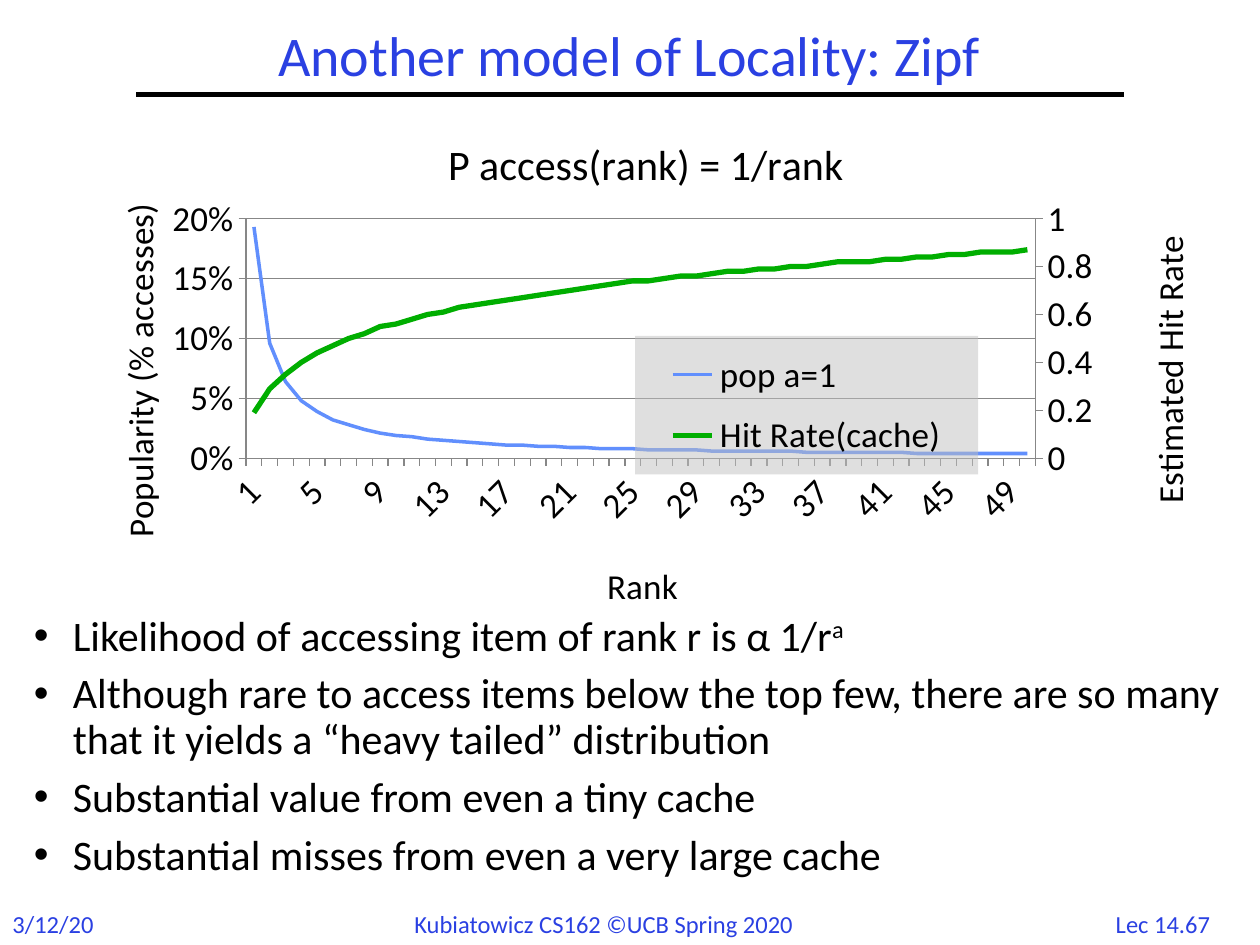
"""Build a slide on Zipf locality with a two-axis line chart and bullet points."""
from copy import deepcopy
from itertools import accumulate
from typing import NamedTuple

from lxml.etree import SubElement
from pptx import Presentation
from pptx.chart.data import CategoryChartData
from pptx.dml.color import RGBColor
from pptx.enum.chart import XL_CHART_TYPE as ChartType, XL_LEGEND_POSITION as LegendPosition, XL_TICK_MARK as TickMark
from pptx.enum.shapes import MSO_CONNECTOR as Connector
from pptx.enum.text import MSO_ANCHOR as Anchor, PP_ALIGN as Align
from pptx.oxml import parse_xml
from pptx.oxml.ns import nsdecls, qn
from pptx.util import Inches, Pt

BLACK = RGBColor(0x00, 0x00, 0x00)
BLUE = RGBColor(0x2A, 0x40, 0xE2)
POPULARITY_BLUE = RGBColor(0x61, 0x8F, 0xFD)
HIT_GREEN = RGBColor(0x00, 0xAE, 0x00)
GRID_GRAY = RGBColor(0x87, 0x87, 0x87)
FONT = "Calibri"
WIDTH, HEIGHT = Inches(10), Inches(7.5)
RANKS = range(1, 51)
TOP_SHARE = 0.1928


class Box(NamedTuple):
    """Hold a frame in percent of the slide's width and height."""
    left: float
    top: float
    width: float
    height: float

    def lengths(self) -> tuple[int, int, int, int]:
        """Return the frame as slide lengths."""
        return (int(WIDTH * self.left / 100), int(HEIGHT * self.top / 100),
                int(WIDTH * self.width / 100), int(HEIGHT * self.height / 100))


class Label(NamedTuple):
    """Describe a one-line text."""
    text: str
    box: Box
    size: int = 14
    align: Align = Align.LEFT
    wrap: bool = False
    anchor: Anchor = Anchor.TOP
    spacing: float = 1.0


LABELS = [
    Label("Lec 14.67", Box(86.9, 95.5, 10.8, 4.4), align=Align.CENTER),
    Label("3/12/20", Box(0, 95.5, 8.5, 4.5)),
    Label("Kubiatowicz CS162 ©UCB Spring 2020", Box(31.9, 95.5, 36.3, 4.5)),
    Label("Another model of Locality: Zipf", Box(10.8, 2.3, 78.3, 7.7), 32, Align.CENTER, True, Anchor.MIDDLE, 0.9),
]
BULLETS = [
    ("Likelihood of accessing item of rank r is α 1/r", "a"),
    ("Although rare to access items below the top few, there are so many "
     "that it yields a “heavy tailed” distribution", ""),
    ("Substantial value from even a tiny cache", ""),
    ("Substantial misses from even a very large cache", ""),
]


def style_font(font, size: int, color: RGBColor) -> None:
    """Set the common font with a size and colour."""
    font.name, font.size, font.bold = FONT, Pt(size), False
    font.color.rgb = color


def add_label(slide, label: Label) -> None:
    """Add a one-line text box."""
    frame = slide.shapes.add_textbox(*label.box.lengths()).text_frame
    frame.word_wrap, frame.vertical_anchor = label.wrap, label.anchor
    paragraph = frame.paragraphs[0]
    paragraph.text, paragraph.alignment = label.text, label.align
    paragraph.line_spacing = label.spacing
    style_font(paragraph.font, label.size, BLUE)


def add_bullets(slide, box: Box) -> None:
    """Add the bulleted body text."""
    frame = slide.shapes.add_textbox(*box.lengths()).text_frame
    frame.word_wrap = True
    for index, (text, superscript) in enumerate(BULLETS):
        paragraph = frame.add_paragraph() if index else frame.paragraphs[0]
        paragraph.line_spacing = 0.9
        paragraph.space_before = Pt(7.2 if index else 0)
        properties = paragraph._p.get_or_add_pPr()
        properties.set("marL", str(Inches(0.31)))
        properties.set("indent", str(-Inches(0.31)))
        SubElement(properties, qn("a:buFont")).set("typeface", "Arial")
        SubElement(properties, qn("a:buChar")).set("char", "•")
        paragraph.add_run().text = text
        if superscript:
            run = paragraph.add_run()
            run.text = superscript
            run._r.get_or_add_rPr().set("baseline", "30000")
        style_font(paragraph.font, 24, BLACK)


def add_rule(slide, left: float, right: float, top: float) -> None:
    """Add the heavy line under the title."""
    x_start, y, x_end, _ = Box(left, top, right, 0).lengths()
    line = slide.shapes.add_connector(Connector.STRAIGHT, x_start, y, x_end, y)
    line.line.color.rgb, line.line.width = BLACK, Pt(3)
    SubElement(line._element.spPr, qn("a:effectLst"))


def place(parent, index: int, x: float, y: float, size: tuple[float, ...] = (), inner: bool = False) -> None:
    """Give a chart part a manual layout in shares of the chart."""
    for old in parent.findall(qn("c:layout")):
        parent.remove(old)
    target = '<c:layoutTarget val="inner"/>' if inner else ""
    modes = '<c:xMode val="edge"/><c:yMode val="edge"/>'
    values = "".join(f'<c:{tag} val="{value}"/>' for tag, value in zip("xywh", (x, y, *size)))
    parent.insert(index, parse_xml(
        f'<c:layout {nsdecls("c")}><c:manualLayout>{target}{modes}{values}</c:manualLayout></c:layout>'))


def set_title(owner, text: str, size: int, x: float, y: float, upright: bool = True) -> None:
    """Write and place the title of a chart or an axis."""
    title = owner.chart_title if hasattr(owner, "chart_title") else owner.axis_title
    title.text_frame.text = text
    style_font(title.text_frame.paragraphs[0].font, size, BLACK)
    if not upright:
        title.text_frame._txBody.bodyPr.set("rot", "-5400000")
    place(title._element, 1, x, y)


def style_axis(axis) -> None:
    """Set the font, ticks and line of an axis."""
    style_font(axis.tick_labels.font, 20, BLACK)
    axis.major_tick_mark, axis.minor_tick_mark = TickMark.OUTSIDE, TickMark.NONE
    axis.format.line.color.rgb = GRID_GRAY


def add_right_axis(chart) -> None:
    """Move the second series to its own value axis on the right."""
    plot_area = chart._chartSpace.chart.plotArea
    left_plot = plot_area.find(qn("c:lineChart"))
    right_plot = deepcopy(left_plot)
    left_plot.remove(left_plot.findall(qn("c:ser"))[1])
    right_plot.remove(right_plot.find(qn("c:ser")))
    left_plot.addnext(right_plot)
    category, value = plot_area.find(qn("c:catAx")), plot_area.find(qn("c:valAx"))
    right_category, right_value = deepcopy(category), deepcopy(value)
    value.addnext(right_category)
    right_category.addnext(right_value)
    for axis, own, other in ((right_category, "5001", "5002"), (right_value, "5002", "5001")):
        axis.find(qn("c:axId")).set("val", own)
        axis.find(qn("c:crossAx")).set("val", other)
    for reference, number in zip(right_plot.findall(qn("c:axId")), ("5001", "5002")):
        reference.set("val", number)
    right_category.remove(right_category.find(qn("c:title")))
    right_category.find(qn("c:delete")).set("val", "1")
    right_value.remove(right_value.find(qn("c:majorGridlines")))
    right_value.find(qn("c:axPos")).set("val", "r")
    right_value.find(qn("c:crosses")).set("val", "max")
    right_value.find(qn("c:scaling")).find(qn("c:max")).set("val", "1")
    right_value.find(qn("c:majorUnit")).set("val", "0.2")
    right_value.find(qn("c:numFmt")).set("formatCode", "General")
    right_axis = type(chart.value_axis)(right_value)
    set_title(right_axis, "Estimated Hit Rate", 20, 0.94, 0.26, upright=False)


def add_zipf_chart(slide, box: Box) -> None:
    """Add the chart of popularity and hit rate by rank."""
    shares = [TOP_SHARE / rank for rank in RANKS]
    data = CategoryChartData()
    data.categories = [str(rank) for rank in RANKS]
    data.add_series("pop a=1", [round(share, 3) for share in shares])
    data.add_series("Hit Rate(cache)", [round(total, 2) for total in accumulate(shares)])
    chart = slide.shapes.add_chart(ChartType.LINE, *box.lengths(), data).chart
    style_font(chart.font, 20, BLACK)
    set_title(chart, "P access(rank) = 1/rank", 24, 0.33, 0.07)
    for series, color, width in zip(chart.series, (POPULARITY_BLUE, HIT_GREEN), (2, 3)):
        series.smooth = False
        series.format.line.color.rgb, series.format.line.width = color, Pt(width)
    chart.plots[0].vary_by_categories = False

    ranks, popularity = chart.category_axis, chart.value_axis
    for axis in (ranks, popularity):
        style_axis(axis)
    set_title(ranks, "Rank", 20, 0.47, 0.87)
    ranks._element.txPr.bodyPr.set("rot", "-2700000")
    skip = parse_xml(f'<c:tickLblSkip {nsdecls("c")} val="4"/>')
    ranks._element.find(qn("c:noMultiLvlLbl")).addprevious(skip)
    set_title(popularity, "Popularity (% accesses)", 20, 0.04, 0.2, upright=False)
    popularity.minimum_scale, popularity.maximum_scale, popularity.major_unit = 0, 0.2, 0.05
    popularity.tick_labels.number_format = "0%"
    popularity.tick_labels.number_format_is_linked = False
    popularity.major_gridlines.format.line.color.rgb = GRID_GRAY
    add_right_axis(chart)
    place(chart._chartSpace.chart.plotArea, 0, 0.16, 0.24, (0.69, 0.45), inner=True)

    chart.has_legend = True
    legend = chart.legend
    legend.position, legend.include_in_layout = LegendPosition.RIGHT, True
    style_font(legend.font, 20, BLACK)
    place(legend._element, 1, 0.5, 0.46, (0.3, 0.26))
    legend._element.find(qn("c:txPr")).addprevious(parse_xml(
        f'<c:spPr {nsdecls("c", "a")}><a:solidFill><a:srgbClr val="C0C0C0"><a:alpha val="50000"/>'
        '</a:srgbClr></a:solidFill><a:ln><a:noFill/></a:ln></c:spPr>'))


def main() -> None:
    """Build and save the slide."""
    presentation = Presentation()
    presentation.slide_width, presentation.slide_height = WIDTH, HEIGHT
    slide = presentation.slides.add_slide(presentation.slide_layouts[6])
    add_rule(slide, 10.8, 89.2, 10)
    for label in LABELS:
        add_label(slide, label)
    add_bullets(slide, Box(1.7, 64.4, 99.2, 24.8))
    add_zipf_chart(slide, Box(5, 9.6, 90.8, 56.4))
    presentation.save("out.pptx")


if __name__ == "__main__":
    main()
